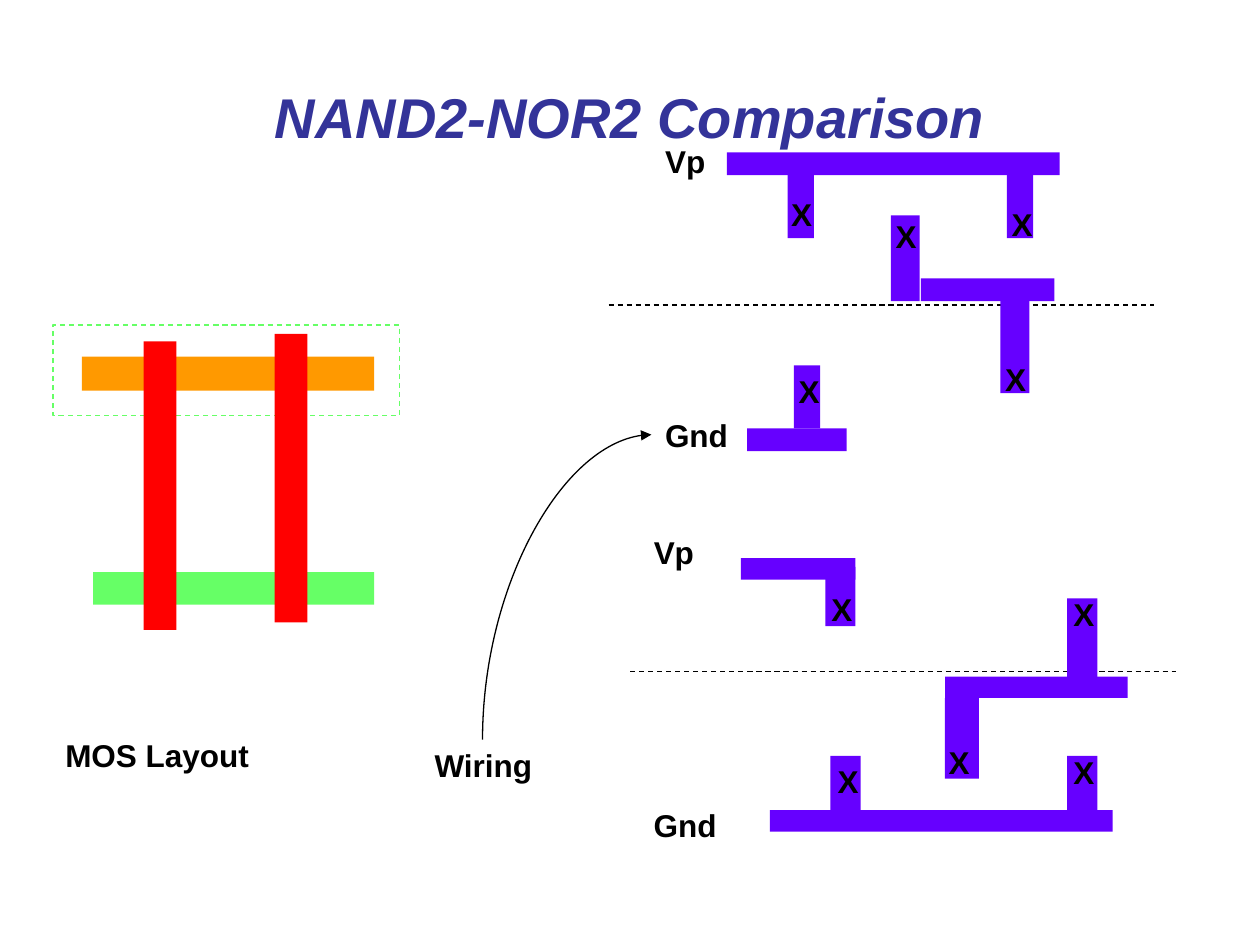
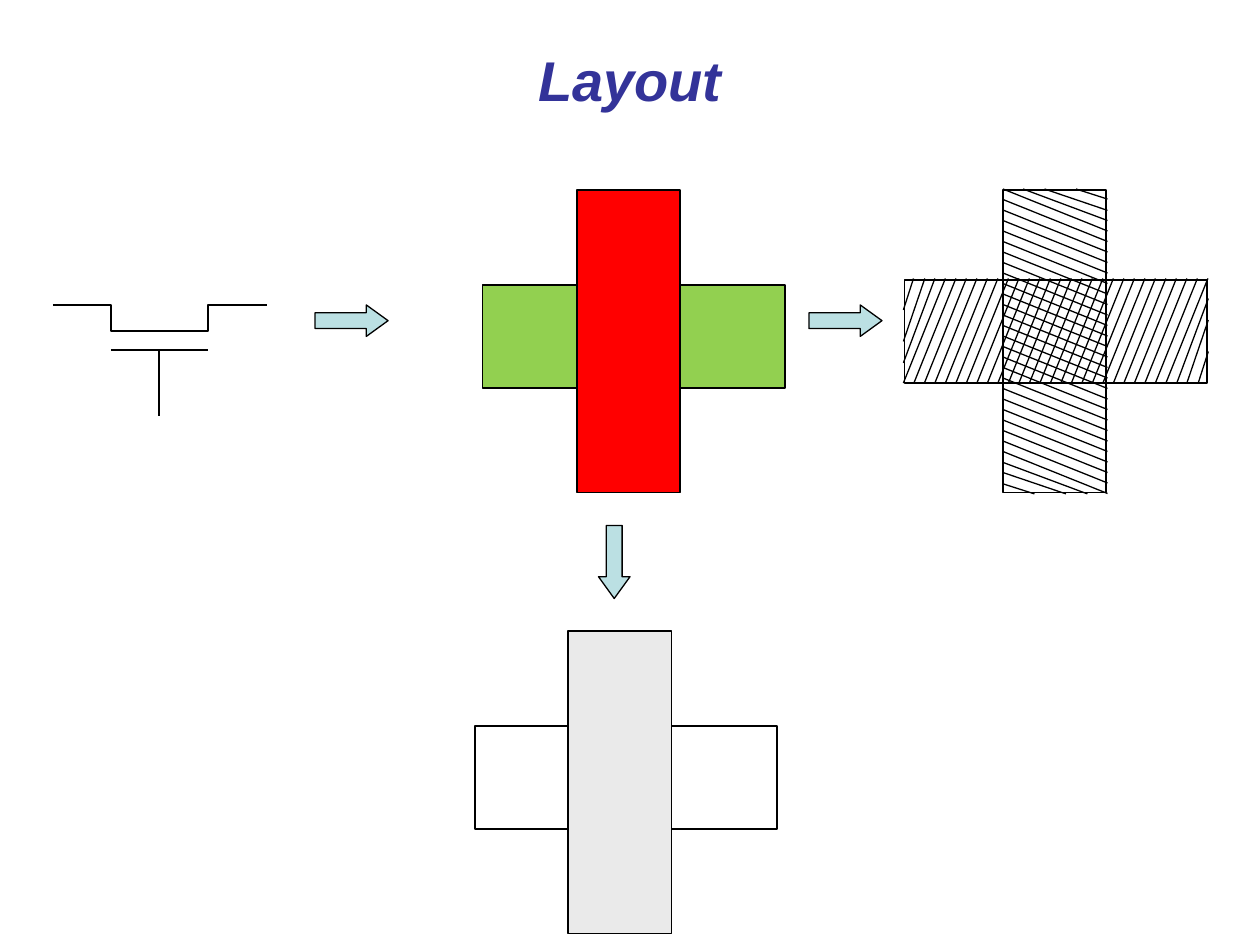
from pptx import Presentation
from pptx import util as u
from pptx.dml.color import RGBColor
from pptx.enum import dml, shapes, text
from pptx.oxml import ns
from lxml import etree

PX = 9144
FONT = "Arial"
BLACK, NAVY, METAL = "000000", "333399", "6600FF"
RED, GREEN, LIME = "FF0000", "66FF66", "92D050"
AMBER, TEAL, GREY = "FF9900", "BBE0E3", "EAEAEA"
RECT = shapes.MSO_SHAPE.RECTANGLE
RIGHT = shapes.MSO_SHAPE.RIGHT_ARROW
DOWN = shapes.MSO_SHAPE.DOWN_ARROW

METALS = [
    (577, 121, 264, 18), (625, 139, 21, 50), (799, 139, 21, 50),
    (593, 340, 79, 18), (630, 290, 21, 50), (707, 171, 23, 68),
    (794, 229, 23, 83), (731, 221, 106, 18),
    (611, 643, 272, 17), (659, 600, 24, 47), (847, 600, 24, 47),
    (588, 443, 91, 17), (655, 450, 24, 47), (750, 554, 27, 64),
    (847, 475, 24, 64), (750, 537, 145, 17),
]
VIAS = [
    (618, 150), (701, 167), (793, 158), (624, 290), (788, 281),
    (655, 600), (743, 585), (842, 593), (650, 463), (842, 467),
]
LABELS = [
    ("MOS Layout", 42, 579, 166), ("Wiring", 335, 587, 98),
    ("Vp", 518, 108, 52), ("Gnd", 518, 325, 70),
    ("Vp", 509, 418, 52), ("Gnd", 509, 635, 70),
]


def px(*vals):
    """Turn px lengths into EMU."""
    return [u.Emu(round(v * PX)) for v in vals]


def rgb(code):
    """Turn a hex string into a colour."""
    return RGBColor.from_string(code)


def style(font, size, color, slant=False):
    """Set the deck's bold font."""
    font.name, font.size, font.bold = FONT, u.Pt(size), True
    font.italic = slant
    font.color.rgb = rgb(color)


def start(deck, name, top):
    """Add a slide with its title."""
    slide = deck.slides.add_slide(deck.slide_layouts[5])
    title = slide.shapes.title
    title.left, title.top, title.width, title.height = px(50, top, 900, 125)
    frame = title.text_frame
    frame.text = name
    frame.auto_size = text.MSO_AUTO_SIZE.NONE
    frame.vertical_anchor = text.MSO_ANCHOR.MIDDLE
    para = frame.paragraphs[0]
    para.alignment = text.PP_ALIGN.CENTER
    style(para.font, 32, NAVY, True)
    return slide


def paint(shape, fill, line, width):
    """Set fill and outline, either may be None."""
    shape.shadow.inherit = False
    if fill:
        shape.fill.solid()
        shape.fill.fore_color.rgb = rgb(fill)
    else:
        shape.fill.background()
    if line:
        shape.line.color.rgb = rgb(line)
        shape.line.width = u.Pt(width)
    else:
        shape.line.fill.background()


def box(slide, area, fill=None, line=None, width=1, kind=RECT):
    """Add a preset shape."""
    shape = slide.shapes.add_shape(kind, *px(*area))
    paint(shape, fill, line, width)
    return shape


def arrow(slide, area, kind=RIGHT):
    """Add a block arrow."""
    shape = box(slide, area, TEAL, BLACK, 0.75, kind)
    shape.adjustments[1] = 0.69


def label(slide, words, x, y, w):
    """Add a bold label."""
    frame = slide.shapes.add_textbox(*px(x, y, w, 40)).text_frame
    frame.word_wrap = False
    frame.auto_size = text.MSO_AUTO_SIZE.SHAPE_TO_FIT_TEXT
    frame.text = words
    style(frame.paragraphs[0].font, 18, BLACK)


def wire(slide, ends, width=0.75, kind=shapes.MSO_CONNECTOR.STRAIGHT):
    """Add a black connector."""
    line = slide.shapes.add_connector(kind, *px(*ends))
    line.line.color.rgb = rgb(BLACK)
    line.line.width = u.Pt(width)
    etree.SubElement(line._element.spPr, ns.qn("a:effectLst"))
    return line


def bend(slide, ends):
    """Add a quarter-turn arrow that leaves upwards."""
    x1, y1, x2, y2 = ends
    mx, my = (x1 + x2) / 2, (y1 + y2) / 2
    dx, dy = (y1 - y2) / 2, (x2 - x1) / 2
    turned = (mx + dx, my + dy, mx - dx, my - dy)
    line = wire(slide, turned, kind=shapes.MSO_CONNECTOR.CURVE)
    props = line._element.spPr
    props.find(ns.qn("a:xfrm")).set("rot", "5400000")
    props.find(ns.qn("a:prstGeom")).set("prst", "curvedConnector2")
    tip = etree.SubElement(props.find(ns.qn("a:ln")), ns.qn("a:tailEnd"))
    tip.set("type", "triangle")


def hatch(slide, place):
    """Hatch a 242 by 83 band, placed by a function of (along, across)."""
    long, wide, step = 242, 83, 25 / 3
    rows = [(k * step, 0, (k + 4) * step, wide) for k in range(26)]
    for run, rise in ((25, 67), (17, 50), (8, 25)):
        rows += [(long - run, 0, long, rise), (0, wide - rise, run, wide)]
    for a, b, c, d in rows:
        wire(slide, place(a, b) + place(c, d))


def cross(slide, flat, tall, fills=(None, None)):
    """Add two crossing bars, given their corners."""
    box(slide, (*flat, 240, 82), fills[0], BLACK)
    box(slide, (*tall, 82, 240), fills[1], BLACK)


def gate(slide):
    """Draw the transistor symbol."""
    pen = slide.shapes.build_freeform(75, 242, PX)
    points = [(88, 242), (88, 263), (165, 263), (165, 242), (178, 242)]
    pen.add_line_segments(points, close=False)
    paint(pen.convert_to_shape(), None, BLACK, 1.13)
    for ends in ((88, 278, 165, 278), (126, 278, 126, 330),
                 (178, 242, 212, 242), (42, 242, 75, 242)):
        wire(slide, ends, 1.13)


def compare(deck):
    """Build the NAND2-NOR2 slide."""
    slide = start(deck, "NAND2-NOR2 Comparison", 30)
    box(slide, (74, 454, 223, 26), GREEN)
    well = box(slide, (42, 258, 275, 72), None, GREEN, 0.75)
    well.line.dash_style = dml.MSO_LINE.DASH
    box(slide, (65, 283, 232, 27), AMBER)
    for x, y in ((114, 271), (218, 265)):
        box(slide, (x, y, 26, 229), RED)
    bend(slide, (383, 587, 517, 345))
    for x, y in ((483, 242), (500, 533)):
        rule = wire(slide, (x, y, x + 433, y))
        rule.line.dash_style = dml.MSO_LINE.DASH
    for area in METALS:
        box(slide, area, METAL)
    for x, y in VIAS:
        label(slide, "X", x, y, 36)
    for item in LABELS:
        label(slide, *item)


def layout(deck):
    """Build the transistor layout slide."""
    slide = start(deck, "Layout", 0)
    gate(slide)
    cross(slide, (383, 226), (458, 151), (LIME, RED))
    cross(slide, (718, 222), (796, 151))
    hatch(slide, lambda along, over: (796 + over, 150 + along))
    hatch(slide, lambda along, over: (717 + along, 304 - over))
    cross(slide, (377, 576), (451, 501), (None, GREY))
    arrow(slide, (250, 242, 58, 25))
    arrow(slide, (642, 242, 58, 25))
    arrow(slide, (475, 417, 25, 58), DOWN)


def main():
    """Build and save the deck."""
    deck = Presentation()
    deck.slide_width, deck.slide_height = px(1000, 750)
    compare(deck)
    layout(deck)
    deck.save("out.pptx")


if __name__ == "__main__":
    main()
